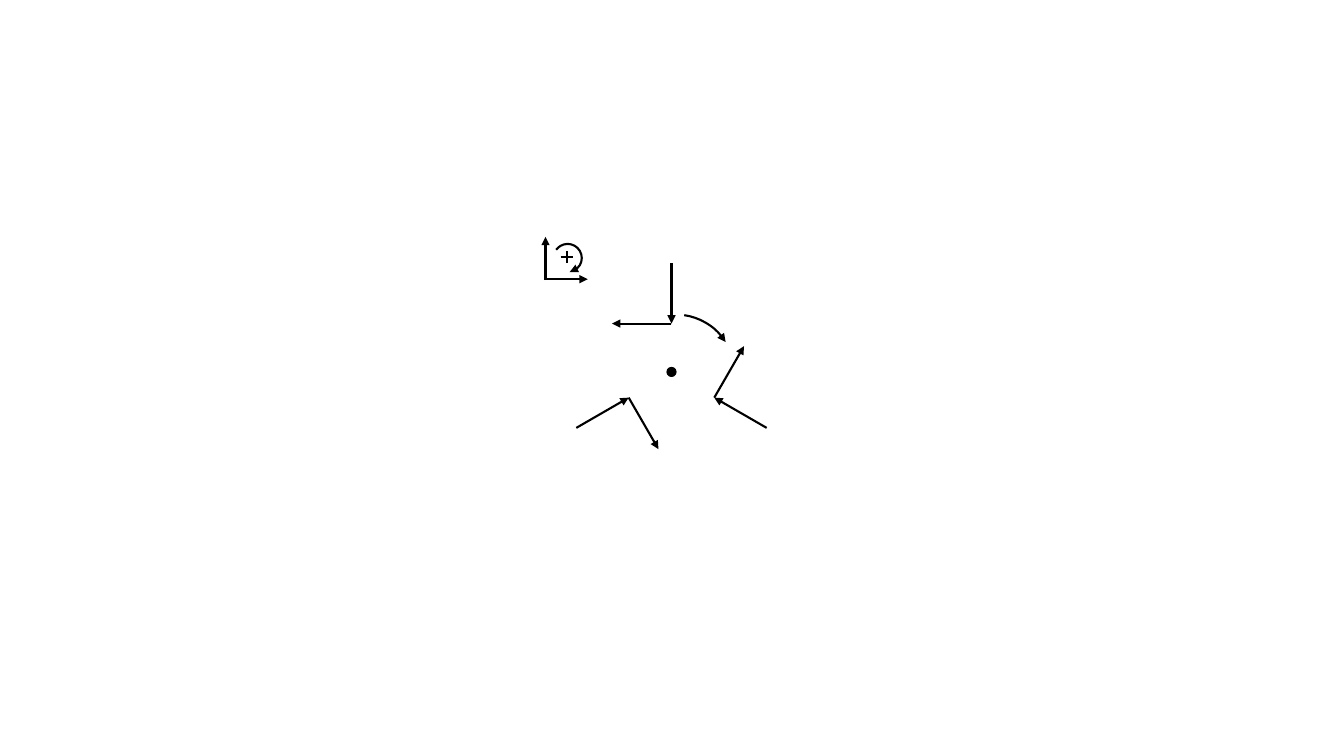
from math import cos, radians, sin

from lxml import etree
from pptx import Presentation
from pptx.dml.color import RGBColor
from pptx.enum import shapes
from pptx.oxml.ns import qn
from pptx.util import Inches, Pt

COLORS = {"ink": "000000"}
INK = RGBColor.from_string(COLORS["ink"])

deck = Presentation()
deck.slide_width, deck.slide_height = Inches(13.33), Inches(7.5)
page = deck.slides.add_slide(deck.slide_layouts[6])


def style_line(item, arrow=True):
    item.line.color.rgb = INK
    item.line.width = Pt(1.5)
    if arrow:
        etree.SubElement(item.line._get_or_add_ln(), qn("a:tailEnd"), type="triangle")


def add_line(start, end, arrow=True):
    line = page.shapes.add_connector(
        shapes.MSO_CONNECTOR.STRAIGHT, *(Inches(value) for value in (*start, *end))
    )
    style_line(line, arrow)
    etree.SubElement(line._element.spPr, qn("a:effectLst"))


# Rotation arrows: left, top, diameter, start and end angle in degrees
for left, top, size, first, last in [
    (6.11, 3.12, 1.18, 278.5, 327.5),
    (5.49, 2.42, 0.28, 215.8, 81.7),
]:
    arc = page.shapes.add_shape(
        shapes.MSO_SHAPE.ARC, Inches(left), Inches(top), Inches(size), Inches(size)
    )
    arc.shadow.inherit = False
    arc.fill.background()
    # Arc angles are stored in 1/60000 degree, adjustments in 1/100000
    arc.adjustments[0] = first * 0.6
    arc.adjustments[1] = last * 0.6
    style_line(arc)

# Three arms, 120 degrees apart, each with a tangential and an inward arrow
center_x, center_y = 6.66, 3.7
inner, outer, tangent = 0.49, 1.09, 0.59
for angle in (-90, 30, 150):
    dx, dy = cos(radians(angle)), sin(radians(angle))
    joint = (center_x + inner * dx, center_y + inner * dy)
    add_line(joint, (joint[0] + tangent * dy, joint[1] - tangent * dx))
    add_line((center_x + outer * dx, center_y + outer * dy), joint)

dot = page.shapes.add_shape(
    shapes.MSO_SHAPE.OVAL, Inches(6.62), Inches(3.65), Inches(0.08), Inches(0.08)
)
dot.shadow.inherit = False
dot.fill.solid()
dot.fill.fore_color.rgb = INK
style_line(dot, arrow=False)

# Axes with the positive sense of rotation
add_line((5.41, 2.78), (5.41, 2.35))
add_line((5.4, 2.77), (5.83, 2.77))
plus_x, plus_y, half = 5.62, 2.55, 0.06
add_line((plus_x, plus_y - half), (plus_x, plus_y + half), arrow=False)
add_line((plus_x - half, plus_y), (plus_x + half, plus_y), arrow=False)

deck.save("out.pptx")
